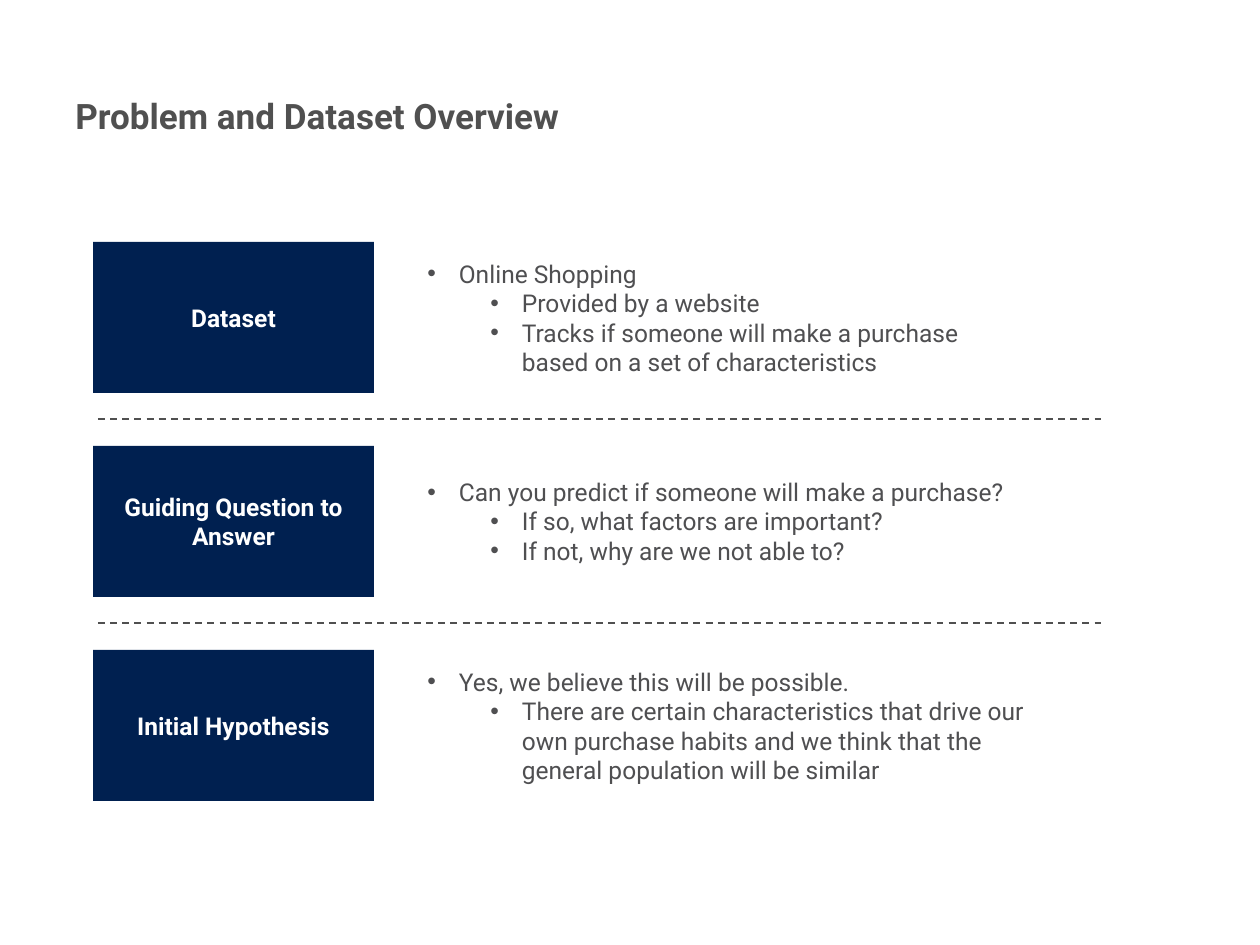
import pptx
import pptx.dml.color
import pptx.enum.dml
import pptx.enum.shapes
import pptx.enum.text
import pptx.util
from lxml import etree
from pptx.oxml.ns import qn

NAVY = pptx.dml.color.RGBColor(0x00, 0x20, 0x50)
WHITE = pptx.dml.color.RGBColor(0xFF, 0xFF, 0xFF)
GRAY = pptx.dml.color.RGBColor(0x50, 0x50, 0x50)
BODY_GRAY = pptx.dml.color.RGBColor(0x4F, 0x4F, 0x51)
MIDDLE = pptx.enum.text.MSO_ANCHOR.MIDDLE

PX_PER_INCH = 126
BULLET_STEP = 0.25  # inches of hanging indent
LEVEL_STEP = 0.5    # inches per bullet level


def px(n):
    return round(n * pptx.util.Inches(1) / PX_PER_INCH)


class SlideBuilder:
    font = "Roboto"

    def __init__(self, slide):
        self.s = slide

    def style(self, p, size, color, bold=False):
        for r in p.runs:
            r.font.name = self.font
            r.font.size = pptx.util.Pt(size)
            r.font.color.rgb = color
            r.font.bold = bold

    def text_box(self, x, y, w, h):
        tf = self.s.shapes.add_textbox(px(x), px(y), px(w), px(h)).text_frame
        tf.word_wrap = True
        return tf

    def title(self, x, y, w, h, text):
        tf = self.text_box(x, y, w, h)
        tf.text = text
        self.style(tf.paragraphs[0], 20, GRAY, bold=True)

    def label(self, x, y, w, h, text):
        sp = self.s.shapes.add_shape(
            pptx.enum.shapes.MSO_SHAPE.RECTANGLE, px(x), px(y), px(w), px(h))
        sp.shadow.inherit = False
        sp.fill.solid()
        sp.fill.fore_color.rgb = NAVY
        sp.line.fill.background()
        tf = sp.text_frame
        tf.word_wrap = True
        tf.vertical_anchor = MIDDLE
        tf.text = text
        for p in tf.paragraphs:
            p.alignment = pptx.enum.text.PP_ALIGN.CENTER
            self.style(p, 14, WHITE, bold=True)

    def bullets(self, x, y, w, h, items):
        """The first item is the main point; the others sit one level below."""
        tf = self.text_box(x, y, w, h)
        tf.vertical_anchor = MIDDLE
        tf.text = "\n".join(items)
        for i, p in enumerate(tf.paragraphs):
            p.level = min(i, 1)
            pPr = p._p.get_or_add_pPr()
            margin = BULLET_STEP + p.level * LEVEL_STEP
            pPr.set("marL", str(pptx.util.Inches(margin)))
            pPr.set("indent", str(-pptx.util.Inches(BULLET_STEP)))
            etree.SubElement(pPr, qn("a:buFont")).set("typeface", "Arial")
            etree.SubElement(pPr, qn("a:buChar")).set("char", "•")
            self.style(p, 14, BODY_GRAY)

    def divider(self, x1, x2, y):
        line = self.s.shapes.add_connector(
            pptx.enum.shapes.MSO_CONNECTOR.STRAIGHT, px(x1), px(y), px(x2), px(y))
        line.line.color.rgb = GRAY
        line.line.width = pptx.util.Pt(1)
        line.line.dash_style = pptx.enum.dml.MSO_LINE.DASH
        etree.SubElement(line._element.spPr, qn("a:effectLst"))


# Label, width and height of the bullet box, bullets
ROWS = [
    ("Dataset", 622, 131, [
        "Online Shopping",
        "Provided by a website",
        "Tracks if someone will make a purchase based on a set of characteristics",
    ]),
    ("Guiding Question to\nAnswer", 697, 102, [
        "Can you predict if someone will make a purchase?",
        "If so, what factors are important?",
        "If not, why are we not able to?",
    ]),
    ("Initial Hypothesis", 622, 131, [
        "Yes, we believe this will be possible.",
        "There are certain characteristics that drive our own purchase habits "
        "and we think that the general population will be similar",
    ]),
]
ROW_TOP, ROW_HEIGHT, ROW_GAP = 242, 151, 53


def main():
    prs = pptx.Presentation()
    prs.slide_width = px(1260)
    prs.slide_height = px(945)
    b = SlideBuilder(prs.slides.add_slide(prs.slide_layouts[6]))

    # Heading
    b.title(63, 88, 1134, 129, "Problem and Dataset Overview")

    # Rows, with a dashed divider in each gap
    for i, (label, width, height, items) in enumerate(ROWS):
        top = ROW_TOP + i * (ROW_HEIGHT + ROW_GAP)
        b.label(93, top, 281, ROW_HEIGHT, label)
        b.bullets(415, top + (ROW_HEIGHT - height) // 2, width, height, items)
        if i:
            b.divider(98, 1106, top - ROW_GAP // 2 - 1)

    prs.save("out.pptx")


if __name__ == "__main__":
    main()
